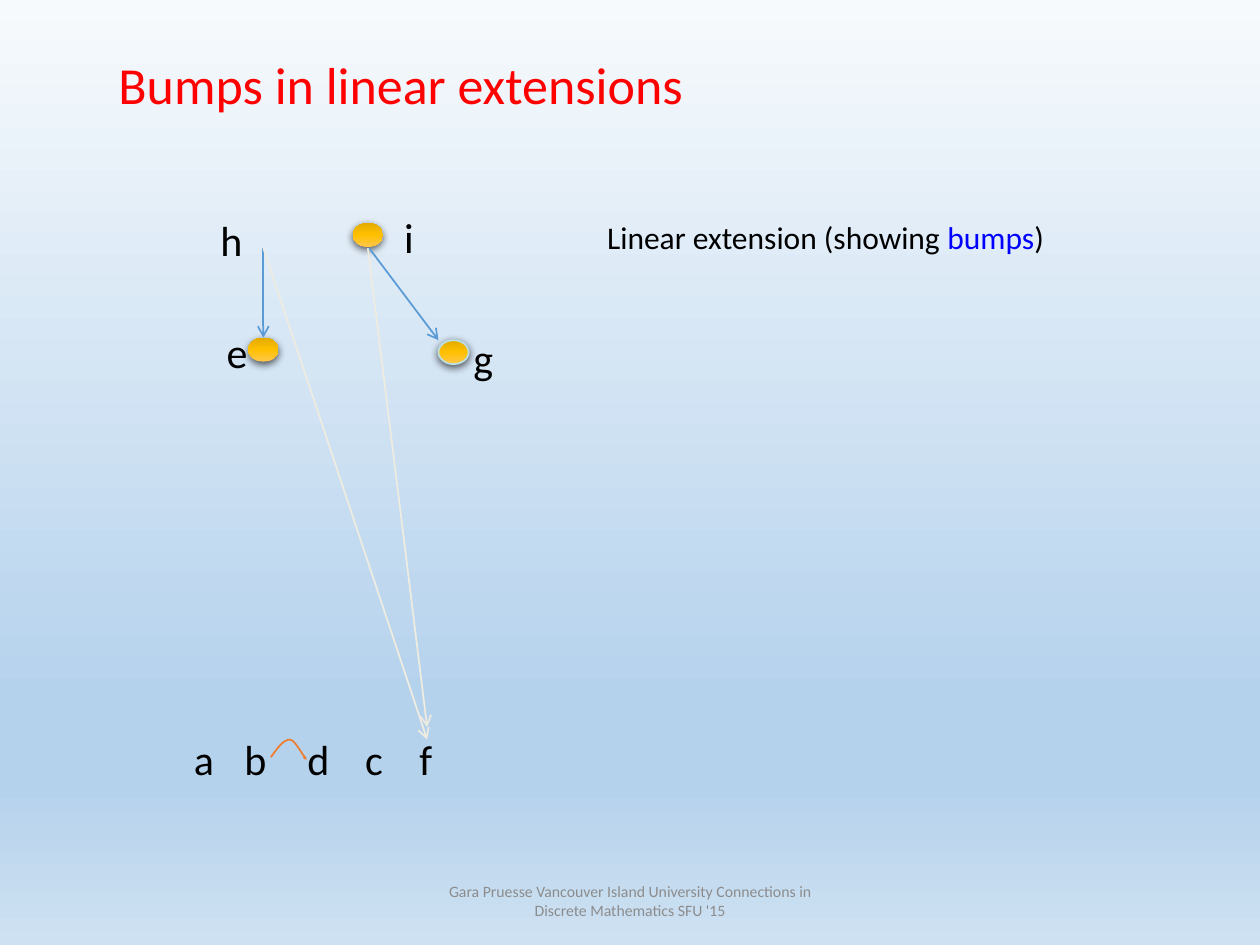
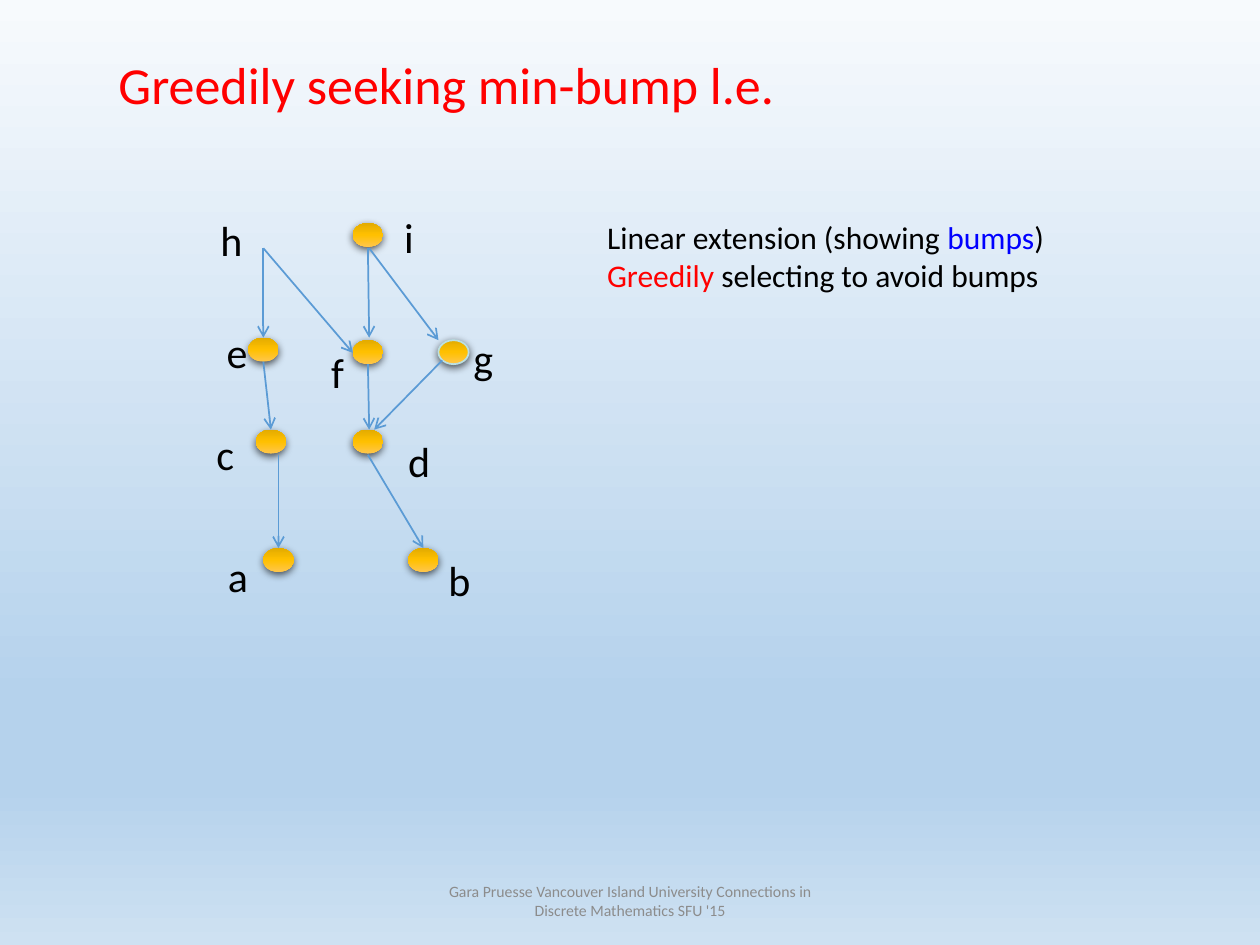
from typing import NamedTuple

from pptx import Presentation
from pptx.dml.color import RGBColor
from pptx.enum.shapes import MSO_CONNECTOR, MSO_SHAPE
from pptx.enum.text import MSO_ANCHOR, MSO_AUTO_SIZE, PP_ALIGN
from pptx.oxml.ns import qn
from pptx.util import Inches, Pt
from lxml.etree import SubElement

BLACK = RGBColor(0x00, 0x00, 0x00)
RED = RGBColor(0xFF, 0x00, 0x00)
BLUE = RGBColor(0x00, 0x00, 0xFF)
GREY = RGBColor(0x8C, 0x8C, 0x8C)
ARROW_BLUE = RGBColor(0x5B, 0x9B, 0xD5)
PALE = RGBColor(0xEE, 0xEC, 0xE1)
RING = RGBColor(0xBB, 0xE0, 0xE3)
ORANGE = RGBColor(0xED, 0x7D, 0x31)
SKY = RGBColor(0xB5, 0xD2, 0xEC)
BACKGROUND = [(0, RGBColor(0xF7, 0xFA, 0xFD)), (74, SKY), (83, SKY),
              (100, RGBColor(0xCE, 0xE1, 0xF2))]
GOLD = [(0, RGBColor(0xFF, 0xC6, 0x4B)), (50, RGBColor(0xFF, 0xC0, 0x00)),
        (100, RGBColor(0xE3, 0xAB, 0x00))]

FONT = "Calibri"
FOOTER = ("Gara Pruesse Vancouver Island University Connections in "
          "Discrete Mathematics SFU '15")
NODE_W, NODE_H = 0.24, 0.19
LABEL_H = 0.5
LABEL_W = {"a": 0.36, "b": 0.38, "c": 0.34, "d": 0.38, "e": 0.37,
           "f": 0.3, "g": 0.36, "h": 0.38, "i": 0.28}


class Node(NamedTuple):
    x: float
    y: float
    ring: RGBColor | None = None


class Arrow(NamedTuple):
    x1: float
    y1: float
    x2: float
    y2: float
    color: RGBColor = ARROW_BLUE


class Label(NamedTuple):
    letter: str
    x: float
    y: float


class TextRun(NamedTuple):
    text: str
    color: RGBColor = BLACK


class Poset(NamedTuple):
    title: str
    nodes: list[Node]
    arrows: list[Arrow]
    labels: list[Label]
    note: list[list[TextRun]]
    note_h: float


NODE_E, NODE_G, NODE_I = Node(1.97, 2.68), Node(3.48, 2.7, RING), Node(2.8, 1.77)
H_TO_E, I_TO_G = Arrow(2.09, 1.97, 2.09, 2.68), Arrow(2.93, 1.97, 3.48, 2.7)
UPPER_LABELS = [Label("e", 1.7, 2.54), Label("g", 3.66, 2.59),
                Label("h", 1.65, 1.65), Label("i", 3.11, 1.63)]
BUMPS_LINE = [TextRun("Linear extension (showing "), TextRun("bumps", BLUE), TextRun(")")]
GREEDY_LINE = [TextRun("Greedily ", RED), TextRun("selecting to avoid bumps")]

EXTENSION_Y = 5.77
EXTENSION = {"a": 1.44, "b": 1.84, "d": 2.34, "c": 2.8, "f": 3.23}
BUMP_CURVE = [((2.15, 6.01), (2.2, 5.94), (2.25, 5.87), (2.3, 5.87)),
              ((2.3, 5.87), (2.34, 5.87), (2.4, 5.99), (2.42, 6.01)),
              ((2.42, 6.01), (2.44, 6.03), (2.42, 6.02), (2.41, 6.01))]

BUMPS = Poset(
    "Bumps in linear extensions",
    [NODE_I, NODE_E, NODE_G],
    [H_TO_E, Arrow(2.92, 1.97, 3.39, 5.77, PALE), I_TO_G,
     Arrow(2.09, 1.97, 3.39, 5.87, PALE)],
    [Label(letter, x, EXTENSION_Y) for letter, x in EXTENSION.items()] + UPPER_LABELS,
    [BUMPS_LINE], 0.4)

GREEDY = Poset(
    "Greedily seeking min-bump l.e.",
    [NODE_I, Node(3.24, 4.35), Node(2.8, 2.7), NODE_E, Node(2.8, 3.41), NODE_G,
     Node(2.09, 4.35), Node(2.03, 3.41)],
    [H_TO_E, Arrow(2.92, 1.97, 2.93, 2.68), I_TO_G, Arrow(2.09, 1.97, 2.8, 2.8),
     Arrow(2.92, 2.89, 2.93, 3.41), Arrow(2.09, 2.87, 2.15, 3.41),
     Arrow(2.21, 3.61, 2.21, 4.35), Arrow(3.51, 2.86, 2.97, 3.41),
     Arrow(2.92, 3.61, 3.36, 4.35)],
    [Label("a", 1.71, 4.32), Label("b", 3.46, 4.35), Label("c", 1.62, 3.35),
     Label("d", 3.14, 3.41), Label("f", 2.53, 2.7)] + UPPER_LABELS,
    [BUMPS_LINE, GREEDY_LINE], 0.71)


def set_gradient(fill, element, stops: list[tuple[int, RGBColor]]) -> None:
    """Fill from top to bottom; element is the one that holds the fill."""
    fill.gradient()
    fill.gradient_angle = 270
    stop_list = next(element.iter(qn("a:gsLst")))
    for old_stop in list(stop_list):
        stop_list.remove(old_stop)
    for percent, color in stops:
        stop = SubElement(stop_list, qn("a:gs"), pos=str(percent * 1000))
        SubElement(stop, qn("a:srgbClr"), val=str(color))


def add_text(s, left: float, top: float, width: float, height: float,
             lines: list[list[TextRun]], size: float):
    tf = s.shapes.add_textbox(Inches(left), Inches(top), Inches(width),
                              Inches(height)).text_frame
    tf.word_wrap = False
    tf.auto_size = MSO_AUTO_SIZE.SHAPE_TO_FIT_TEXT
    for i, line in enumerate(lines):
        p = tf.add_paragraph() if i else tf.paragraphs[0]
        for part in line:
            r = p.add_run()
            r.text = part.text
            r.font.name, r.font.size = FONT, Pt(size)
            r.font.color.rgb = part.color
    return tf


def add_title(s, text: str) -> None:
    title = s.shapes.title
    title.left, title.top = Inches(0.84), Inches(0.62)
    title.width, title.height = Inches(9), Inches(0.15)
    tf = title.text_frame
    tf.text = text
    tf.auto_size = MSO_AUTO_SIZE.NONE
    tf.vertical_anchor = MSO_ANCHOR.MIDDLE
    p = tf.paragraphs[0]
    p.alignment, p.line_spacing = PP_ALIGN.LEFT, 0.9
    font = p.runs[0].font
    font.name, font.size = FONT, Pt(29.7)
    font.color.rgb = RED


def add_footer(s) -> None:
    tf = add_text(s, 3.31, 6.95, 3.38, 0.4, [[TextRun(FOOTER, GREY)]], 9)
    tf.word_wrap = True
    tf.auto_size = MSO_AUTO_SIZE.NONE
    tf.vertical_anchor = MSO_ANCHOR.MIDDLE
    tf.paragraphs[0].alignment = PP_ALIGN.CENTER


def add_node(s, node: Node) -> None:
    sp = s.shapes.add_shape(MSO_SHAPE.OVAL, Inches(node.x), Inches(node.y),
                            Inches(NODE_W), Inches(NODE_H))
    sp.element.spPr.find(qn("a:xfrm")).set("flipV", "1")
    set_gradient(sp.fill, sp.element, GOLD)
    if node.ring is None:
        sp.line.fill.background()
    else:
        sp.line.color.rgb = node.ring
        sp.line.width = Pt(1)
    sp.shadow.inherit = False
    effects = sp.element.spPr.find(qn("a:effectLst"))
    shadow = SubElement(effects, qn("a:outerShdw"), blurRad=str(Pt(4.5)),
                        dist=str(Pt(1.5)), dir="5400000", rotWithShape="0")
    color = SubElement(shadow, qn("a:srgbClr"), val=str(BLACK))
    SubElement(color, qn("a:alpha"), val="63000")


def add_arrow(s, arrow: Arrow) -> None:
    line = s.shapes.add_connector(MSO_CONNECTOR.STRAIGHT, Inches(arrow.x1), Inches(arrow.y1),
                                  Inches(arrow.x2), Inches(arrow.y2))
    line.line.color.rgb = arrow.color
    line.line.width = Pt(1)
    SubElement(line.element.spPr.find(qn("a:ln")), qn("a:tailEnd"), type="arrow")
    SubElement(line.element.spPr, qn("a:effectLst"))


def add_bump(s, steps: int = 10) -> None:
    """Draw the bump's Bezier curves as a chain of short segments."""
    points = []
    for p0, p1, p2, p3 in BUMP_CURVE:
        for step in range(1, steps + 1):
            t = step / steps
            u = 1 - t
            points.append(tuple(
                Inches(u**3 * a + 3 * u * u * t * b + 3 * u * t * t * c + t**3 * d)
                for a, b, c, d in zip(p0, p1, p2, p3)))
    x, y = BUMP_CURVE[0][0]
    builder = s.shapes.build_freeform(Inches(x), Inches(y))
    builder.add_line_segments(points, close=False)
    sp = builder.convert_to_shape()
    sp.fill.background()
    sp.line.color.rgb = ORANGE
    sp.line.width = Pt(1)
    sp.shadow.inherit = False


def add_poset_slide(prs, poset: Poset):
    s = prs.slides.add_slide(prs.slide_layouts[5])
    add_title(s, poset.title)
    add_footer(s)
    for node in poset.nodes:
        add_node(s, node)
    for arrow in poset.arrows:
        add_arrow(s, arrow)
    for label in poset.labels:
        add_text(s, label.x, label.y, LABEL_W[label.letter], LABEL_H,
                 [[TextRun(label.letter)]], 24)
    add_text(s, 4.72, 1.68, 3.71, poset.note_h, poset.note, 18)
    return s


def main() -> None:
    prs = Presentation()
    prs.slide_width, prs.slide_height = Inches(10), Inches(7.5)
    master = prs.slide_master
    set_gradient(master.background.fill, master.element, BACKGROUND)
    add_bump(add_poset_slide(prs, BUMPS))
    add_poset_slide(prs, GREEDY)
    prs.save("out.pptx")


if __name__ == "__main__":
    main()
